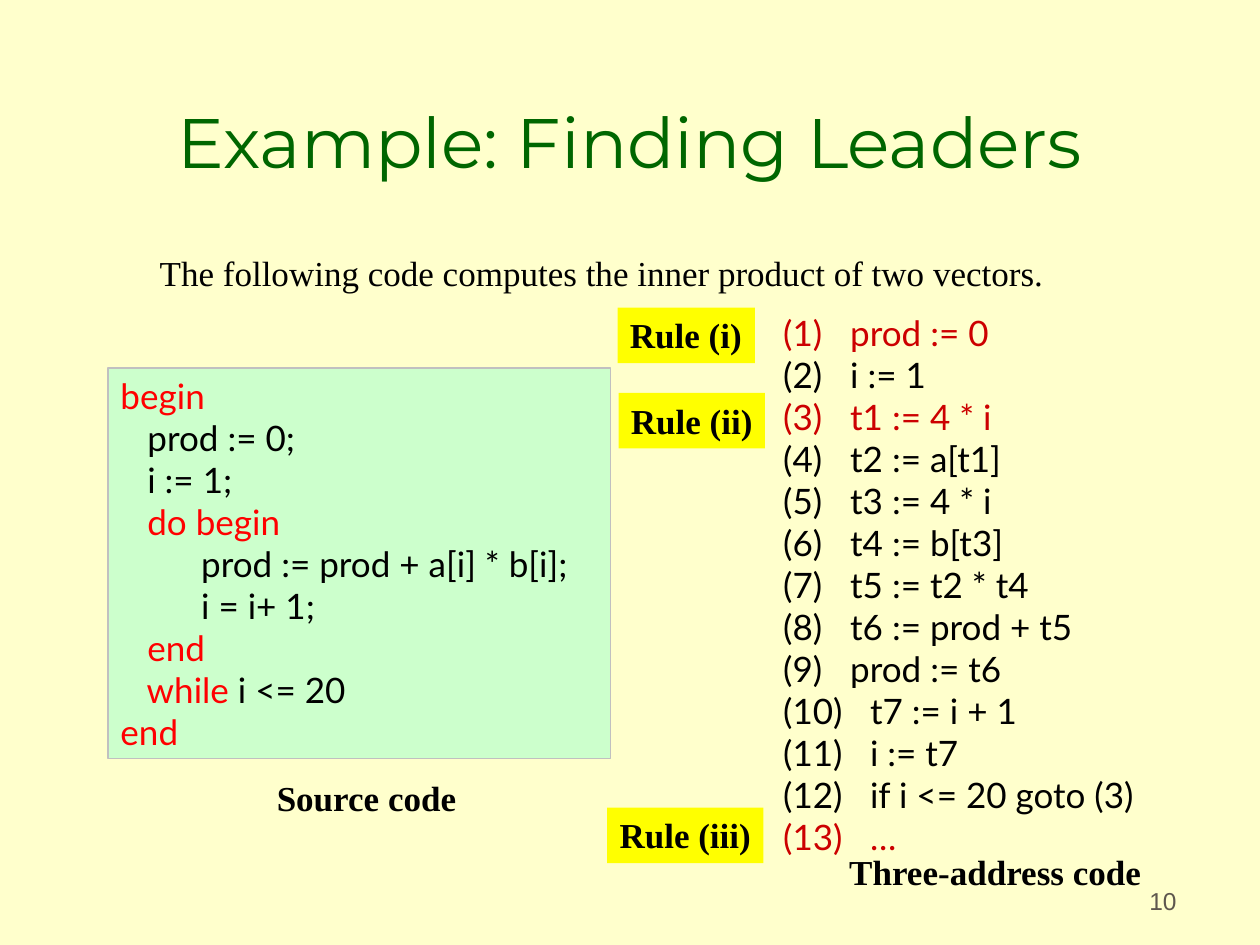
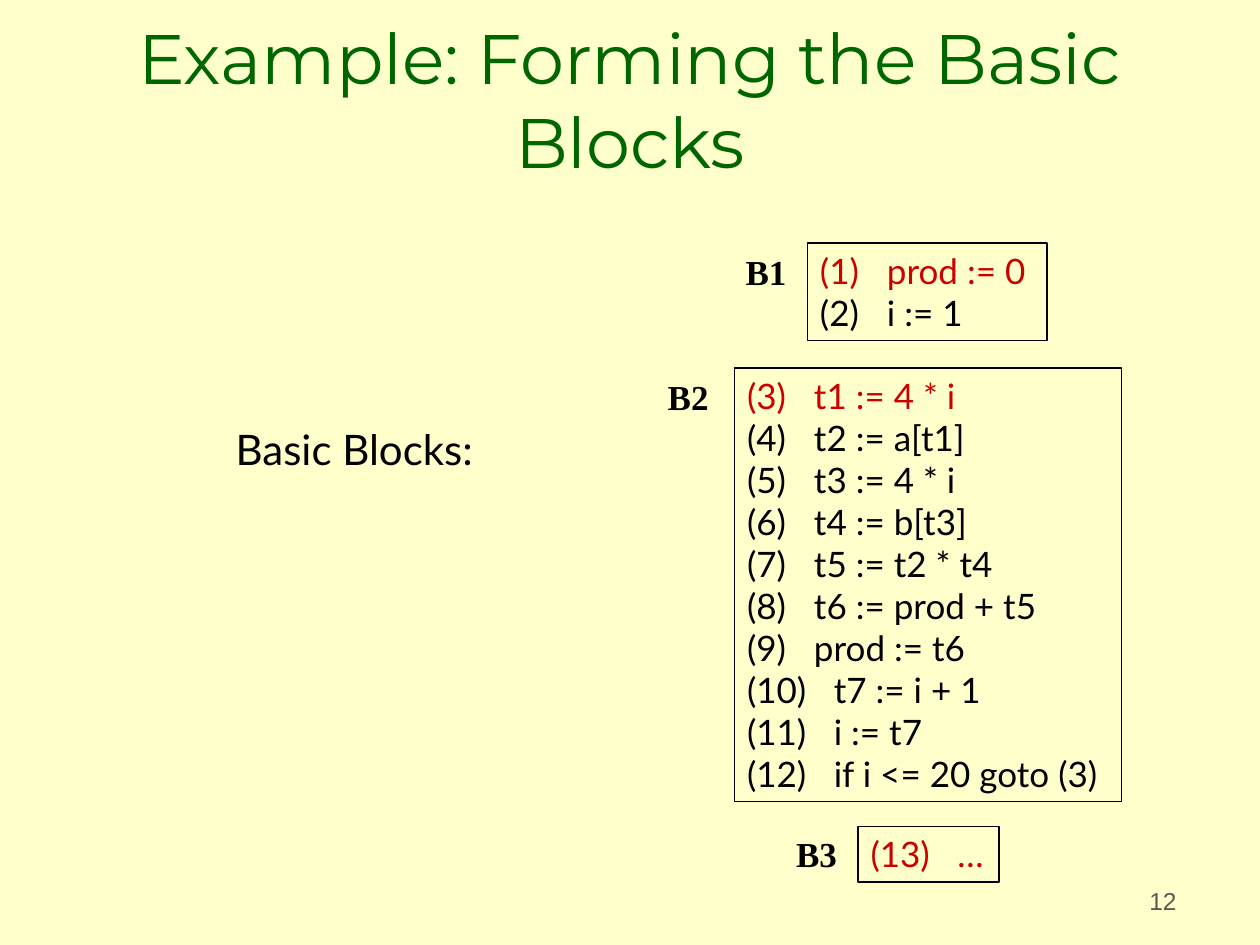
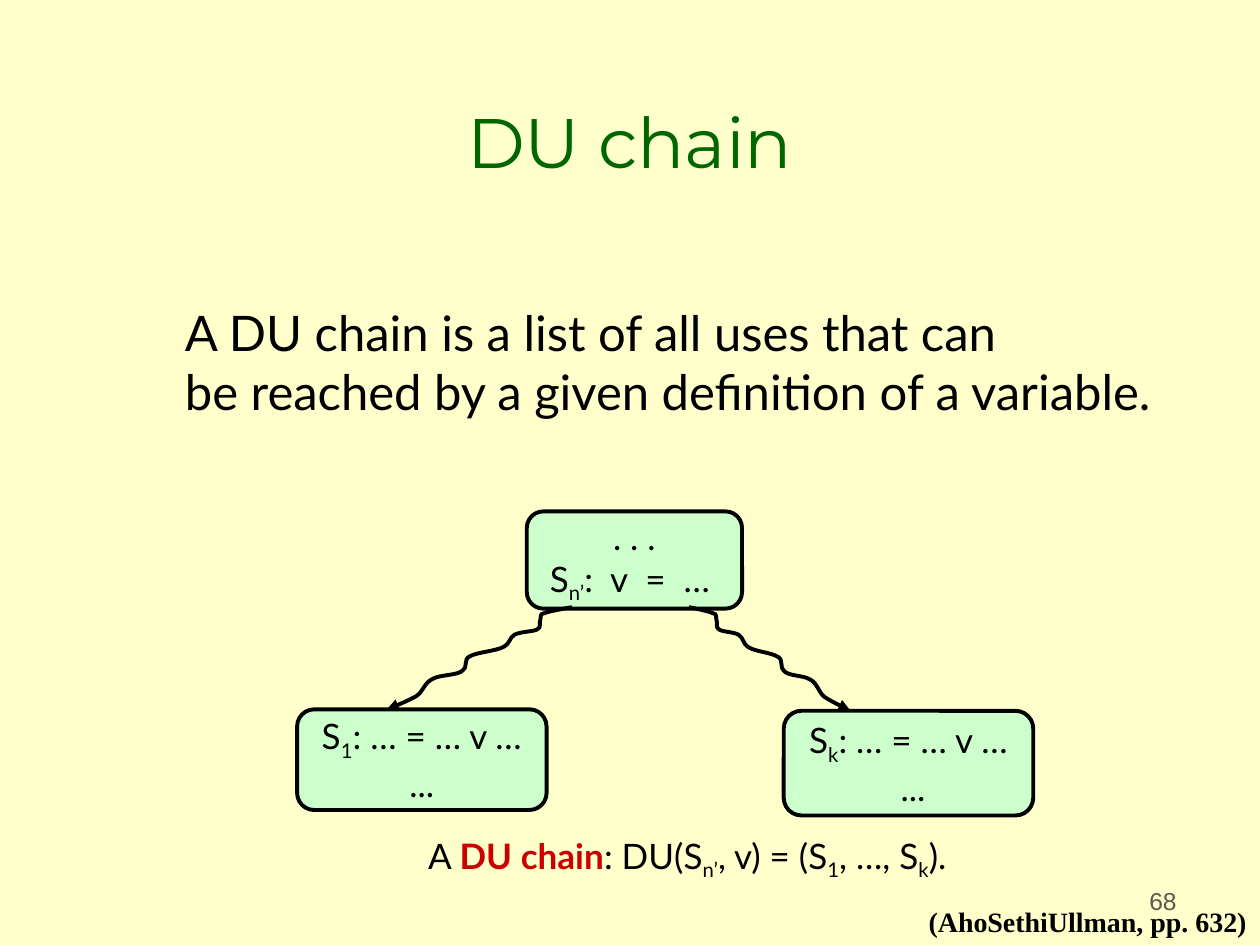
import dataclasses
import typing

import lxml.etree
import pptx
import pptx.dml.color
import pptx.enum.shapes
import pptx.enum.text
import pptx.oxml.ns
import pptx.presentation
import pptx.shapes.base
import pptx.slide
import pptx.text.text
import pptx.util

Cm = pptx.util.Cm
Pt = pptx.util.Pt
qn = pptx.oxml.ns.qn
Align = pptx.enum.text.PP_ALIGN
Anchor = pptx.enum.text.MSO_ANCHOR
Fit = pptx.enum.text.MSO_AUTO_SIZE
Form = pptx.enum.shapes.MSO_SHAPE


@dataclasses.dataclass(frozen=True)
class Theme:
    paper: str = "FFFFCC"
    title: str = "006600"
    ink: str = "000000"
    lead: str = "CC0000"
    word: str = "FF0000"
    mint: str = "CCFFCC"
    flag: str = "FFFF00"
    edge: str = "C0C0C0"
    page: str = "5E574E"
    head: str = "Montserrat"
    sans: str = "Lato"
    serif: str = "Times New Roman"
    foot: str = "Arial"
    huge: float = 40
    large: float = 28
    mid: float = 24
    base: float = 20
    note: float = 16
    small: float = 14
    thin: float = 0.75
    thick: float = 2.25


THEME = Theme()


class Bit(typing.NamedTuple):
    text: str
    color: str = ""
    bold: bool = False
    sub: bool = False


class Line(typing.NamedTuple):
    bits: tuple[Bit, ...]
    tab: float = 0


@dataclasses.dataclass(frozen=True)
class Box:
    at: tuple[float, float, float, float]
    lines: tuple[Line, ...]
    font: str = THEME.sans
    size: float = THEME.base
    color: str = THEME.ink
    bold: bool = False
    fill: str = ""
    edge: str = ""
    width: float = THEME.thin
    form: Form = Form.RECTANGLE
    align: Align = Align.LEFT
    anchor: Anchor = Anchor.TOP
    wrap: bool = True


@dataclasses.dataclass(frozen=True)
class Wave:
    start: tuple[float, float]
    span: tuple[float, float]


STEPS = (
    "prod := 0", "i := 1", "t1 := 4 * i", "t2 := a[t1]", "t3 := 4 * i",
    "t4 := b[t3]", "t5 := t2 * t4", "t6 := prod + t5", "prod := t6",
    "t7 := i + 1", "i := t7", "if i <= 20 goto (3)", "…",
)
LEADS = (1, 3, 13)
CURVE = (
    (6, 2), (12, 4), (15, 6), (18, 7), (16, 9), (17, 12),
    (18, 15), (16, 20), (19, 22), (21, 24), (28, 24), (31, 27),
    (34, 30), (33, 35), (37, 39), (41, 43), (51, 44), (55, 48),
    (59, 51), (56, 59), (59, 62), (62, 67), (71, 66), (75, 70),
    (80, 74), (80, 82), (84, 87), (88, 91), (98, 99), (100, 100),
)


def rgb(color: str) -> pptx.dml.color.RGBColor:
    return pptx.dml.color.RGBColor.from_string(color)


def put(thing: object, **vals: object) -> None:
    for name, val in vals.items():
        setattr(thing, name, val)


def plain(*texts: str) -> tuple[Line, ...]:
    return tuple(Line((Bit(text),)) for text in texts)


def steps(first: int, last: int) -> tuple[Line, ...]:
    return tuple(
        Line(
            (Bit(f"({num})\t{STEPS[num - 1]}", THEME.lead if num in LEADS else ""),),
            1.35 if num < 10 else 1.75,
        )
        for num in range(first, last + 1)
    )


def label(text: str, left: float, top: float, wide: float, fill: str = "") -> Box:
    return Box((left, top, wide, 1.12), plain(text), font=THEME.serif, bold=True, fill=fill)


def listing(at: tuple[float, float, float, float], first: int, last: int, edge: str = "") -> Box:
    return Box(at, steps(first, last), fill=THEME.paper, edge=edge)


def node(at: tuple[float, float, float, float], *lines: Line) -> Box:
    return Box(
        at, lines, fill=THEME.mint, edge=THEME.ink, width=THEME.thick,
        form=Form.ROUNDED_RECTANGLE, align=Align.CENTER, anchor=Anchor.MIDDLE, wrap=False,
    )


def sub(text: str) -> Bit:
    return Bit(text, sub=True)


def write(frame: pptx.text.text.TextFrame, box: Box) -> None:
    put(frame, word_wrap=box.wrap, auto_size=Fit.NONE, vertical_anchor=box.anchor)
    if box.align == Align.LEFT:
        put(frame, margin_right=Cm(0))
    for rank, line in enumerate(box.lines):
        para = frame.add_paragraph() if rank else frame.paragraphs[0]
        para.alignment = box.align
        if line.tab:
            tabs = lxml.etree.SubElement(para._p.get_or_add_pPr(), qn("a:tabLst"))
            lxml.etree.SubElement(tabs, qn("a:tab"), pos=str(int(Cm(line.tab))), algn="l")
        for bit in line.bits:
            run = para.add_run()
            run.text = bit.text
            put(run.font, name=box.font, size=Pt(box.size), bold=box.bold or bit.bold)
            put(run.font.color, rgb=rgb(bit.color or box.color))
            if bit.sub:
                run._r.get_or_add_rPr().set("baseline", "-25000")


def stroke(shape: pptx.shapes.base.BaseShape, color: str, width: float) -> None:
    put(shape.line, width=Pt(width))
    put(shape.line.color, rgb=rgb(color))


def draw_box(slide: pptx.slide.Slide, box: Box) -> None:
    place = [Cm(val) for val in box.at]
    if box.fill:
        shape = slide.shapes.add_shape(box.form, *place)
        shape.shadow.inherit = False
        shape.fill.solid()
        put(shape.fill.fore_color, rgb=rgb(box.fill))
        if box.edge:
            stroke(shape, box.edge, box.width)
        else:
            shape.line.fill.background()
        if box.form == Form.ROUNDED_RECTANGLE:
            shape.adjustments[0] = 0.17
    else:
        shape = slide.shapes.add_textbox(*place)
    write(shape.text_frame, box)


def draw_wave(slide: pptx.slide.Slide, wave: Wave) -> None:
    (left, top), (wide, high) = wave.start, wave.span
    spots = [(Cm(left + wide * x / 100), Cm(top + high * y / 100)) for x, y in CURVE]
    maker = slide.shapes.build_freeform(Cm(left), Cm(top))
    maker.add_line_segments(spots, close=False)
    shape = maker.convert_to_shape()
    shape.shadow.inherit = False
    shape.fill.background()
    stroke(shape, THEME.ink, THEME.thick)
    route = shape._element.find(".//" + qn("a:path"))
    parts = route.findall(qn("a:lnTo"))
    for rank in range(0, len(parts), 3):
        bend = lxml.etree.SubElement(route, qn("a:cubicBezTo"))
        for part in parts[rank:rank + 3]:
            bend.append(part[0])
            route.remove(part)
    line = shape._element.spPr.find(qn("a:ln"))
    lxml.etree.SubElement(line, qn("a:round"))
    lxml.etree.SubElement(line, qn("a:tailEnd"), type="triangle")


def add_page(
    deck: pptx.presentation.Presentation, title: str, page: str, items: tuple[Box | Wave, ...]
) -> None:
    slide = deck.slides.add_slide(deck.slide_layouts.get_by_name("Title Only"))
    head = Box(
        (1.9, 0.64, 21.59, 3.17), plain(title), THEME.head, THEME.huge, THEME.title,
        align=Align.CENTER, anchor=Anchor.BOTTOM,
    )
    put(slide.shapes.title, **dict(zip(("left", "top", "width", "height"), map(Cm, head.at))))
    write(slide.shapes.title.text_frame, head)
    foot = Box(
        (18.69, 17.3, 5.28, 1.27), plain(page), THEME.foot, THEME.small, THEME.page,
        align=Align.RIGHT, anchor=Anchor.BOTTOM,
    )
    for item in (foot, *items):
        if isinstance(item, Wave):
            draw_wave(slide, item)
        else:
            draw_box(slide, item)


SOURCE = (
    Line((Bit("begin", THEME.word),)),
    *plain("   prod := 0;", "   i := 1;"),
    Line((Bit("   do begin", THEME.word),)),
    *plain("         prod := prod + a[i] * b[i];", "         i = i+ 1;"),
    Line((Bit("   end", THEME.word),)),
    Line((Bit("   while", THEME.word), Bit(" i <= 20"))),
    Line((Bit("end", THEME.word),)),
)

LEADERS = (
    Box(
        (2.97, 4.95, 18.47, 1.12),
        plain("The following code computes the inner product of two vectors."),
        font=THEME.serif,
    ),
    listing((15.54, 6.15, 7.8, 11.28), 1, 13),
    label("Source code", 5.33, 15.52, 4.14),
    label("Three-address code", 16.87, 17.02, 6.4),
    label("Rule (i)", 12.45, 6.2, 2.77, THEME.flag),
    label("Rule (ii)", 12.47, 7.92, 2.95, THEME.flag),
    label("Rule (iii)", 12.24, 16.28, 3.15, THEME.flag),
    Box((2.18, 7.42, 10.13, 7.87), SOURCE, fill=THEME.mint, edge=THEME.edge),
)

BLOCKS = (
    Box((4.5, 8.41, 5.77, 1.27), plain("Basic Blocks:"), size=THEME.mid),
    listing((16.28, 4.9, 4.83, 1.96), 1, 2, THEME.ink),
    listing((14.81, 7.42, 7.8, 8.74), 3, 12, THEME.ink),
    listing((17.3, 16.66, 2.84, 1.12), 13, 13, THEME.ink),
    label("B1", 14.78, 4.93, 1.32),
    label("B2", 13.21, 7.44, 1.32),
    label("B3", 15.8, 16.66, 1.32),
)

CHAIN = (
    Box(
        (8.38, 16.69, 11.51, 1.22),
        (Line((
            Bit("A "), Bit("DU chain", THEME.lead, True), Bit(": DU(S"), sub("n’"),
            Bit(", v) = (S"), sub("1"), Bit(", …, S"), sub("k"), Bit(")."),
        )),),
    ),
    node(
        (5.99, 14.3, 5.03, 2.03),
        Line((Bit("S"), sub("1"), Bit(": … = … v …"))), *plain("..."),
    ),
    node(
        (10.62, 10.31, 4.34, 1.96),
        *plain(". . ."), Line((Bit("S"), sub("n’"), Bit(":  v  =  … "))),
    ),
    Wave((13.89, 12.24), (3.25, 2.08)),
    Wave((11.53, 12.24), (-3.73, 2.06)),
    node(
        (15.8, 14.33, 5.03, 2.11),
        Line((Bit("S"), sub("k"), Bit(": … = … v …"))), *plain(" ..."),
    ),
    Box(
        (3.48, 5.97, 21.54, 2.64),
        plain(
            "A DU chain is a list of all uses that can",
            "be reached by a given definition of a variable.",
        ),
        size=THEME.large,
    ),
    Box(
        (18.47, 18.11, 6.91, 0.94), plain("(AhoSethiUllman, pp. 632)"),
        font=THEME.serif, size=THEME.note, bold=True,
    ),
)


def main() -> None:
    deck = pptx.Presentation()
    put(deck, slide_width=Cm(25.4), slide_height=Cm(19.05))
    back = deck.slide_master.background.fill
    back.solid()
    put(back.fore_color, rgb=rgb(THEME.paper))
    add_page(deck, "Example: Finding Leaders", "10", LEADERS)
    add_page(deck, "Example: Forming the Basic Blocks", "12", BLOCKS)
    add_page(deck, "DU chain", "68", CHAIN)
    deck.save("out.pptx")


if __name__ == "__main__":
    main()
